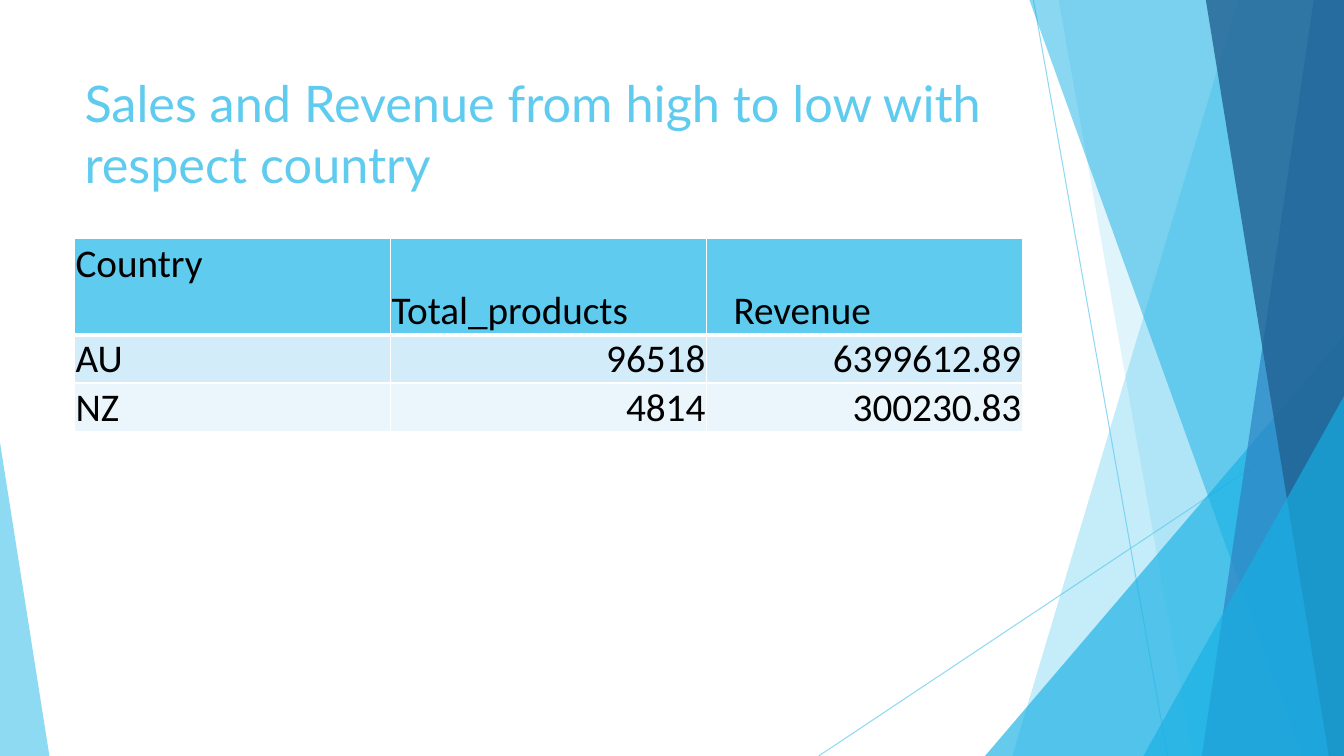
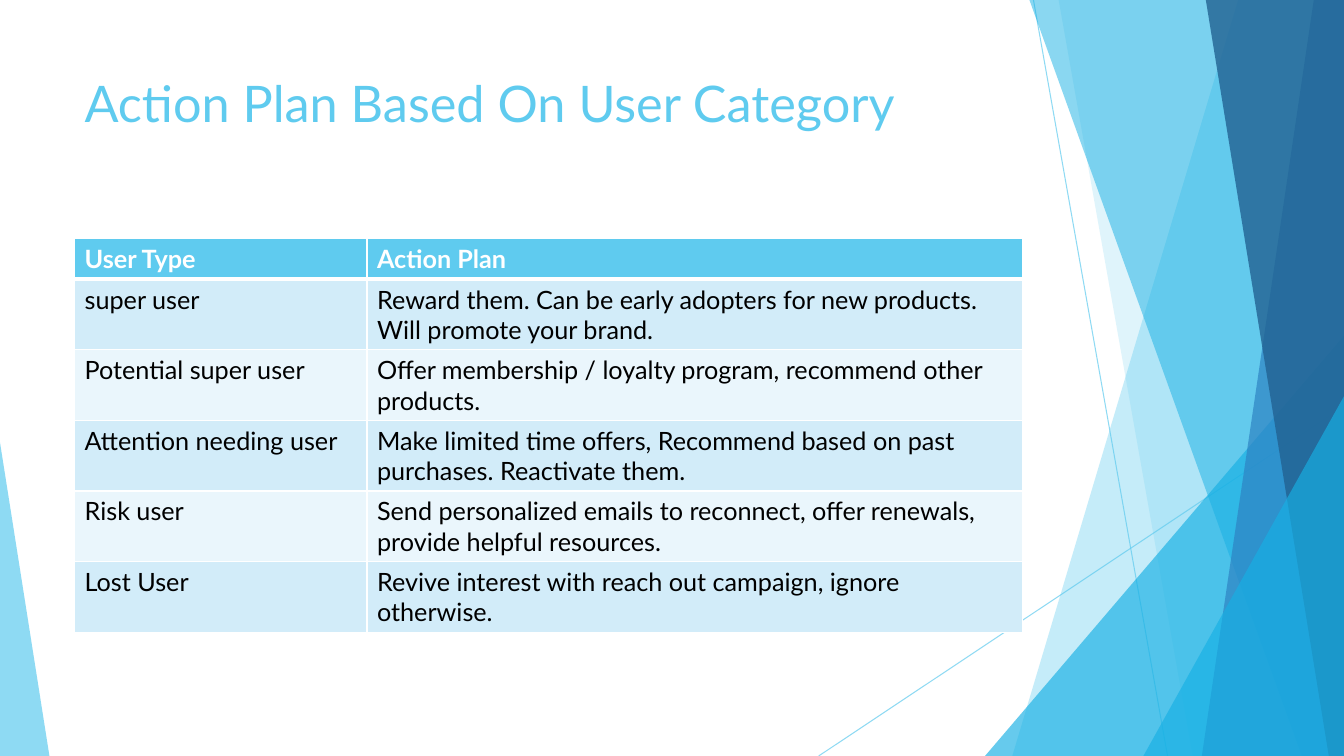
from pptx import Presentation
from pptx.dml.color import RGBColor as Rgb
from pptx.enum.shapes import MSO_CONNECTOR as Connector
from pptx.enum.shapes import MSO_SHAPE as Preset
from pptx.enum.text import MSO_ANCHOR as Anchor
from pptx.enum.text import PP_ALIGN as Align
from pptx.oxml.ns import qn
from pptx.util import Inches, Pt
from lxml.etree import SubElement

WIDTH, HEIGHT = 13.33, 7.5
LEFT, CONTENT_WIDTH = 0.74, 9.4
COLORS = {
    "sky": "5FCBEF",
    "cyan": "17B0E4",
    "blue": "2E83C3",
    "navy": "226292",
    "white": "FFFFFF",
    "black": "000000",
    "odd_row": "D2ECF9",
    "even_row": "EAF6FC",
}
TITLE_FONT = {"name": "Lato", "size": Pt(36), "bold": False}
RAYS = [((10.25, 0), (11.58, HEIGHT)), ((WIDTH, 4.03), (8.12, HEIGHT))]
BACK_BANDS = [(12.28, 10.04, "sky", 36), (10.5, 11.83, "sky", 20)]
FRONT_BANDS = [
    (10.21, 12.91, "cyan", 50),
    (13.03, 11.92, "blue", 70),
    (11.96, 13.18, "navy", 80),
]


class Deck:
    def __init__(self):
        self.show = Presentation()
        self.show.slide_width = Inches(WIDTH)
        self.show.slide_height = Inches(HEIGHT)
        self.slide = None

    def start_slide(self, heading):
        self.slide = self.show.slides.add_slide(self.show.slide_layouts[6])
        self.facets()
        self.title(heading)

    def color(self, name):
        return Rgb.from_string(COLORS[name])

    def fade(self, part, opacity):
        for tint in part.element.spPr.iter(qn("a:srgbClr")):
            SubElement(tint, qn("a:alpha")).set("val", str(opacity * 1000))

    def paint(self, shape, color, opacity):
        shape.shadow.inherit = False
        shape.fill.solid()
        shape.fill.fore_color.rgb = self.color(color)
        shape.line.fill.background()
        self.fade(shape, opacity)

    def ray(self, start, end):
        ends = [Inches(value) for value in (*start, *end)]
        ray = self.slide.shapes.add_connector(Connector.STRAIGHT, *ends)
        ray.line.color.rgb = self.color("sky")
        ray.line.width = Pt(0.75)
        SubElement(ray.element.spPr, qn("a:effectLst"))
        self.fade(ray, 70)

    def band(self, top_x, bottom_x, color, opacity):
        corners = [(WIDTH, 0), (WIDTH, HEIGHT), (bottom_x, HEIGHT)]
        outline = self.slide.shapes.build_freeform(Inches(top_x), 0)
        outline.add_line_segments([(Inches(x), Inches(y)) for x, y in corners])
        self.paint(outline.convert_to_shape(), color, opacity)

    def triangle(self, left, top, width, apex, color, opacity):
        box = [Inches(value) for value in (left, top, width, HEIGHT - top)]
        triangle = self.slide.shapes.add_shape(Preset.ISOSCELES_TRIANGLE, *box)
        triangle.adjustments[0] = apex
        self.paint(triangle, color, opacity)

    def facets(self):
        for start, end in RAYS:
            self.ray(start, end)
        for band in BACK_BANDS:
            self.band(*band)
        self.triangle(9.77, 3.33, 3.56, 1, "cyan", 66)
        for band in FRONT_BANDS:
            self.band(*band)
        self.triangle(11.34, 3.93, 1.99, 1, "cyan", 66)
        self.triangle(0, 4.39, 0.49, 0, "sky", 70)

    def add_text(self, frame, text, font, color):
        run = frame.paragraphs[0].add_run()
        run.text = text
        for name, value in font.items():
            setattr(run.font, name, value)
        run.font.color.rgb = self.color(color)

    def title(self, text):
        box = [Inches(value) for value in (LEFT, 0.67, CONTENT_WIDTH, 1.44)]
        frame = self.slide.shapes.add_textbox(*box).text_frame
        frame.word_wrap = True
        self.add_text(frame, text, TITLE_FONT, "sky")

    def borders(self, cell, row):
        widths = {"L": 1, "R": 1, "T": 3 if row == 1 else 1, "B": 3 if row == 0 else 1}
        properties = cell._tc.get_or_add_tcPr()
        for side, width in widths.items():
            edge = SubElement(properties, qn(f"a:ln{side}"), w=str(Pt(width)))
            fill = SubElement(edge, qn("a:solidFill"))
            SubElement(fill, qn("a:srgbClr"), val=COLORS["white"])

    def table(self, rows, widths, heights, font, header_color, header_bold, cell_format):
        box = [Inches(value) for value in (LEFT, 2.37, CONTENT_WIDTH, sum(heights))]
        table = self.slide.shapes.add_table(len(rows), len(widths), *box).table
        table.first_row = table.horz_banding = False
        for column, width in zip(table.columns, widths):
            column.width = Inches(width)
        for number, (row, height) in enumerate(zip(rows, heights)):
            table.rows[number].height = Inches(height)
            fill = "sky" if number == 0 else "odd_row" if number % 2 else "even_row"
            color = "black" if number else header_color
            bold = header_bold and number == 0
            for cell, text in zip(table.rows[number].cells, row):
                self.borders(cell, number)
                cell.fill.solid()
                cell.fill.fore_color.rgb = self.color(fill)
                for name, value in cell_format.items():
                    setattr(cell, name, value)
                self.add_text(cell.text_frame, text, {**font, "bold": bold}, color)
        return table


def sales_slide(deck):
    deck.start_slide("Sales and Revenue from high to low with respect country")
    sales = deck.table(
        [
            ("Country", "Total_products", "Revenue"),
            ("AU", "96518", "6399612.89"),
            ("NZ", "4814", "300230.83"),
        ],
        [CONTENT_WIDTH / 3] * 3,
        [0.95, 0.48, 0.48],
        {"name": "Calibri", "size": Pt(28)},
        "black",
        False,
        {
            "margin_left": Inches(0.01),
            "margin_right": Inches(0.01),
            "margin_top": Inches(0.01),
            "margin_bottom": 0,
            "vertical_anchor": Anchor.BOTTOM,
        },
    )
    sales.cell(0, 0).vertical_anchor = Anchor.TOP
    sales.cell(0, 2).margin_left = Inches(0.27)
    for row in (1, 2):
        for column in (1, 2):
            figure = sales.cell(row, column).text_frame.paragraphs[0]
            figure.alignment = Align.RIGHT


def action_slide(deck):
    deck.start_slide("Action Plan Based On User Category")
    deck.table(
        [
            ("User Type", "Action Plan"),
            ("super user", "Reward them. Can be early adopters for new products. Will promote your brand."),
            ("Potential super user", "Offer membership / loyalty program, recommend other products."),
            ("Attention needing user", "Make limited time offers, Recommend based on past purchases. Reactivate them."),
            ("Risk user", "Send personalized emails to reconnect, offer renewals, provide helpful resources."),
            ("Lost User", "Revive interest with reach out campaign, ignore otherwise."),
        ],
        [2.9, 6.5],
        [0.4] + [0.7] * 5,
        {"name": "Lato", "size": Pt(18)},
        "white",
        True,
        {"vertical_anchor": Anchor.TOP},
    )


def main():
    deck = Deck()
    sales_slide(deck)
    action_slide(deck)
    deck.show.save("out.pptx")


if __name__ == "__main__":
    main()
